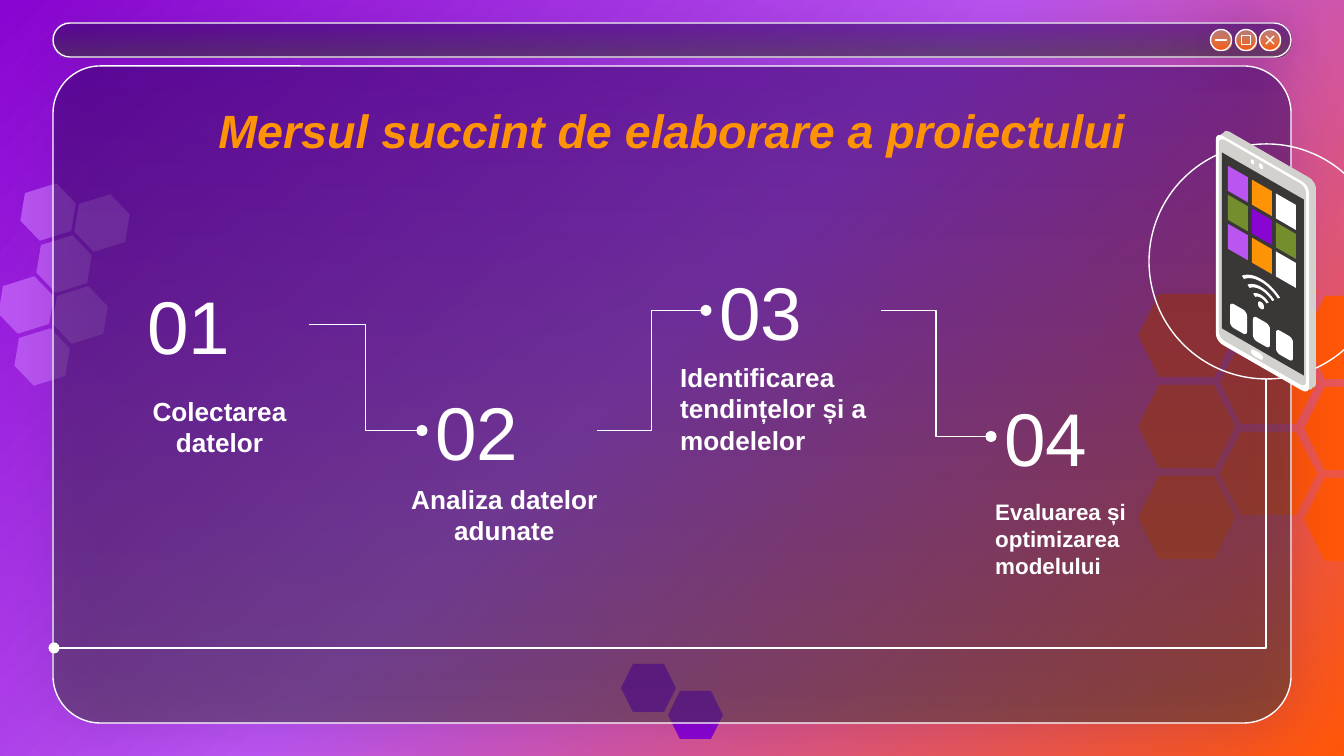
"""Builds a slide with four project steps, linked inside a window frame beside a phone."""
from dataclasses import dataclass
from math import cos, pi, sin

from lxml.etree import SubElement
from pptx import Presentation
from pptx.dml.color import RGBColor
from pptx.enum.shapes import MSO_CONNECTOR, MSO_SHAPE
from pptx.enum.text import MSO_ANCHOR, PP_ALIGN
from pptx.oxml.ns import qn
from pptx.util import Emu, Pt


@dataclass(frozen=True)
class Theme:
    font: str = "Arial"
    white: str = "FFFFFF"
    violet: str = "8905D1"
    lilac: str = "BA55F1"
    orange: str = "FF5607"
    amber: str = "FF9306"
    peach: str = "FFC375"
    night: str = "340267"
    dark: str = "3A3737"
    silver: str = "D2D1CE"
    green: str = "748E2E"
    line: float = 0.75
    title: int = 25
    number: int = 40
    body: int = 14
    small: int = 12


T = Theme()
SCALE = 914400 / 134.4
TITLE = "Mersul succint de elaborare a proiectului"
C, L = PP_ALIGN.CENTER, PP_ALIGN.LEFT
STEPS = [
    ("01", (134, 276), "Colectarea datelor", (112, 382, 215, 198), C, T.body),
    ("02", (422, 382), "Analiza datelor adunate", (391, 470, 227, 148), C, T.body),
    ("03", (706, 262), "Identificarea tendințelor și a modelelor", (667, 348, 251, 148), L, T.body),
    ("04", (991, 388), "Evaluarea și optimizarea modelului", (982, 485, 215, 148), L, T.small),
]
NUMBER_W, NUMBER_H = 175, 97
HEXAGONS = [
    (T.violet, 55, 48, 0, [(621, 664), (668, 691)]),
    (T.lilac, 58, 50, 162.7, [(13, 332), (51, 290), (-3, 280), (35, 239), (73, 198), (19, 187)]),
    (T.orange, 97, 83, 0, [(x, y + 91 * i) for x, y in ((1220, 250), (1304, 296), (1138, 294))
                           for i in range(3)]),
]
FRAMES = [((53, 23, 1238, 34), 0.5, 52, 61), ((53, 66, 1238, 657), 0.072, 49, 49)]
BUTTONS = [(1221, MSO_SHAPE.MATH_MINUS, 15), (1246, MSO_SHAPE.RECTANGLE, 9),
           (1270, MSO_SHAPE.MATH_MULTIPLY, 15)]
BUTTON_Y, BUTTON_SIZE = 40, 21
CIRCLE = (1149, 144, 235, 235)
PHONE_X, PHONE_Y, PHONE_SLOPE = 1216, 132, 0.575
PHONE_LAYERS = [
    (T.silver, (7, -8, 93, 209, 7)),
    (T.silver, (4, -4, 93, 209, 7)),
    (T.white, (0, 0, 93, 209, 7)),
    (T.silver, (3, 3, 87, 201, 6)),
    (T.dark, (6, 17, 82, 176, 0)),
    (T.white, (43, 6, 4, 5, 2)),
    (T.white, (35, 7, 3, 4, 1)),
    (T.white, (35, 196, 12, 6, 3)),
    (T.white, (42, 144, 6, 7, 3)),
]
TILES = [(T.lilac, T.amber, T.white), (T.green, T.violet, T.green), (T.lilac, T.amber, T.white)]
WIFI_CENTRE, WIFI_RADII, WIFI_BAND = (45, 148), (27, 19, 11), 3


def px(n):
    return Emu(round(n * SCALE))


def rgb(code):
    return RGBColor.from_string(code)


def outline(s):
    s.line.color.rgb = rgb(T.white)
    s.line.width = Pt(T.line)


def add_color(parent, code, alpha):
    clr = SubElement(parent, qn("a:srgbClr"), val=code)
    SubElement(clr, qn("a:alpha"), val=str(alpha * 1000))


def gradient(fill, root, stops, angle=None):
    fill.gradient()
    grad = root.find(".//" + qn("a:gradFill"))
    grad.clear()
    gs_list = SubElement(grad, qn("a:gsLst"))
    for pos, code, alpha in stops:
        add_color(SubElement(gs_list, qn("a:gs"), pos=str(pos * 1000)), code, alpha)
    if angle is None:
        path = SubElement(grad, qn("a:path"), path="circle")
        SubElement(path, qn("a:fillToRect"), l="100000", t="100000")
    else:
        SubElement(grad, qn("a:lin"), ang=str(angle * 60000), scaled="0")


def add_shape(shapes, kind, box, fill=None, lined=False):
    s = shapes.add_shape(kind, *map(px, box))
    finish(s, fill, lined)
    return s


def finish(s, fill, lined=False):
    s.shadow.inherit = False
    if fill:
        s.fill.solid()
        s.fill.fore_color.rgb = rgb(fill)
    else:
        s.fill.background()
    if lined:
        outline(s)
    else:
        s.line.fill.background()


def add_glass(shapes, kind, box, stops):
    s = add_shape(shapes, kind, box, lined=True)
    gradient(s.fill, s._element.spPr, stops, 90)
    effects = s._element.spPr.find(qn("a:effectLst"))
    shadow = SubElement(effects, qn("a:outerShdw"), blurRad=str(Pt(27)), dist=str(Pt(1.5)),
                        dir="5400000", algn="bl", rotWithShape="0")
    add_color(shadow, T.night, 30)
    return s


def add_text(shapes, text, box, size, color=T.white, align=L, anchor=MSO_ANCHOR.TOP,
             bold=False, italic=False):
    tf = shapes.add_textbox(*map(px, box)).text_frame
    tf.word_wrap = True
    tf.vertical_anchor = anchor
    tf.margin_left = tf.margin_right = tf.margin_top = tf.margin_bottom = px(13.44)
    p = tf.paragraphs[0]
    p.alignment = align
    r = p.add_run()
    r.text = text
    r.font.name, r.font.size = T.font, Pt(size)
    r.font.bold, r.font.italic = bold, italic
    r.font.color.rgb = rgb(color)


def add_elbow(shapes, x1, y1, x2, y2):
    s = shapes.add_connector(MSO_CONNECTOR.ELBOW, *map(px, (x1, y1, x2, y2)))
    outline(s)
    SubElement(s.line._get_or_add_ln(), qn("a:tailEnd"), type="oval")
    SubElement(s._element.spPr, qn("a:effectLst"))
    return s


def add_corner(shapes, x1, y1, x2, y2):
    s = add_elbow(shapes, x1, y1, x2, y2)
    w, h = y2 - y1, x1 - x2
    s.left, s.top = px((x1 + x2 - w) / 2), px((y1 + y2 - h) / 2)
    s.width, s.height = px(w), px(h)
    xfrm = s._element.spPr.find(qn("a:xfrm"))
    xfrm.attrib.pop("flipH", None)
    xfrm.set("rot", "5400000")
    s._element.spPr.find(qn("a:prstGeom")).set("prst", "bentConnector2")


def arc(u, v, radius, start, end, steps):
    angles = [start + (end - start) * i / max(steps, 1) for i in range(steps + 1)]
    return [(u + radius * cos(a), v + radius * sin(a)) for a in angles]


def round_rect(u, v, w, h, r):
    centres = [(u + r, v + r), (u + w - r, v + r), (u + w - r, v + h - r), (u + r, v + h - r)]
    return [pt for i, (x, y) in enumerate(centres)
            for pt in arc(x, y, r, pi + i * pi / 2, pi + (i + 1) * pi / 2, 5 if r else 0)]


def add_skewed(shapes, points, fill):
    pts = [(px(PHONE_X + u), px(PHONE_Y + v + PHONE_SLOPE * u)) for u, v in points]
    builder = shapes.build_freeform(*pts[0])
    builder.add_line_segments(pts[1:])
    finish(builder.convert_to_shape(), fill)


def add_phone(shapes):
    layers = PHONE_LAYERS + [(color, (12 + 24 * col, 27 + 29 * row, 20, 25, 0))
                             for row, colors in enumerate(TILES) for col, color in enumerate(colors)]
    layers += [(T.white, (14 + 23 * i, 162, 17, 24, 4)) for i in range(3)]
    for color, box in layers:
        add_skewed(shapes, round_rect(*box), color)
    for radius in WIFI_RADII:
        outer = arc(*WIFI_CENTRE, radius, -3 * pi / 4, -pi / 4, 12)
        inner = arc(*WIFI_CENTRE, radius - WIFI_BAND, -pi / 4, -3 * pi / 4, 12)
        add_skewed(shapes, outer + inner, T.white)


def main():
    prs = Presentation()
    prs.slide_width, prs.slide_height = px(1344), px(756)
    slide = prs.slides.add_slide(prs.slide_layouts[6])
    shapes = slide.shapes
    gradient(slide.background.fill, slide._element,
             [(0, T.orange, 100), (52, T.lilac, 100), (100, T.violet, 100)])
    for color, w, h, turn, places in HEXAGONS:
        for x, y in places:
            add_shape(shapes, MSO_SHAPE.HEXAGON, (x, y, w, h), color).rotation = turn
    for box, radius, top, bottom in FRAMES:
        s = add_glass(shapes, MSO_SHAPE.ROUNDED_RECTANGLE, box,
                      [(0, T.night, top), (100, T.dark, bottom)])
        s.adjustments[0] = radius
    for x, icon, size in BUTTONS:
        square = [(x - d / 2, BUTTON_Y - d / 2, d, d) for d in (BUTTON_SIZE, size)]
        add_glass(shapes, MSO_SHAPE.OVAL, square[0], [(0, T.peach, 51), (100, T.orange, 100)])
        hollow = icon == MSO_SHAPE.RECTANGLE
        s = add_shape(shapes, icon, square[1], None if hollow else T.white, lined=True)
        if not hollow:
            s.adjustments[0] = 0
    add_text(shapes, TITLE, (103, 87, 1137, 85), T.title, T.amber, C, MSO_ANCHOR.MIDDLE, True, True)
    for number, (x, y), label, box, align, size in STEPS:
        add_text(shapes, label, box, size, align=align, bold=True)
        add_text(shapes, number, (x, y, NUMBER_W, NUMBER_H), T.number, anchor=MSO_ANCHOR.MIDDLE)
    for (_, (x1, y1), *_), (_, (x2, y2), *_) in zip(STEPS, STEPS[1:]):
        add_elbow(shapes, x1 + NUMBER_W, y1 + NUMBER_H / 2, x2, y2 + NUMBER_H / 2)
    add_shape(shapes, MSO_SHAPE.OVAL, CIRCLE, lined=True)
    add_phone(shapes)
    add_corner(shapes, 1266, 379, 54, 648)
    prs.save("out.pptx")


if __name__ == "__main__":
    main()
